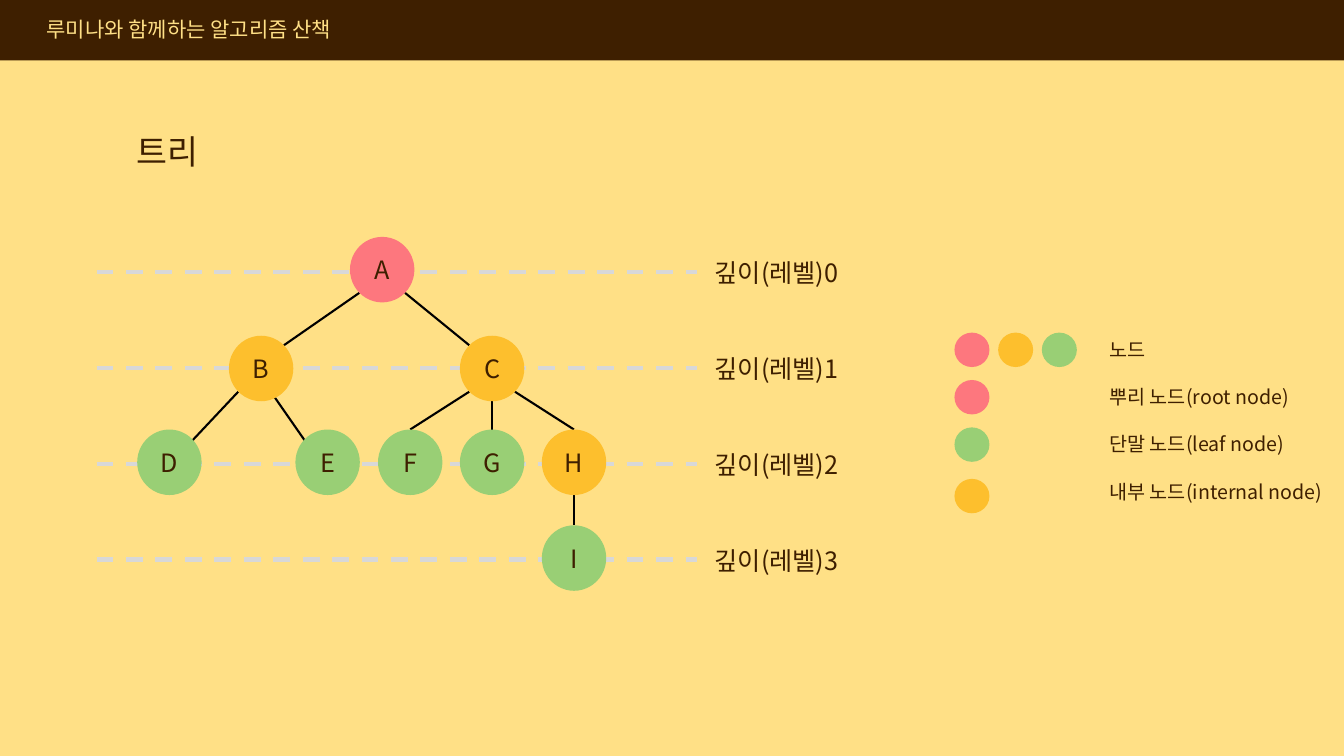
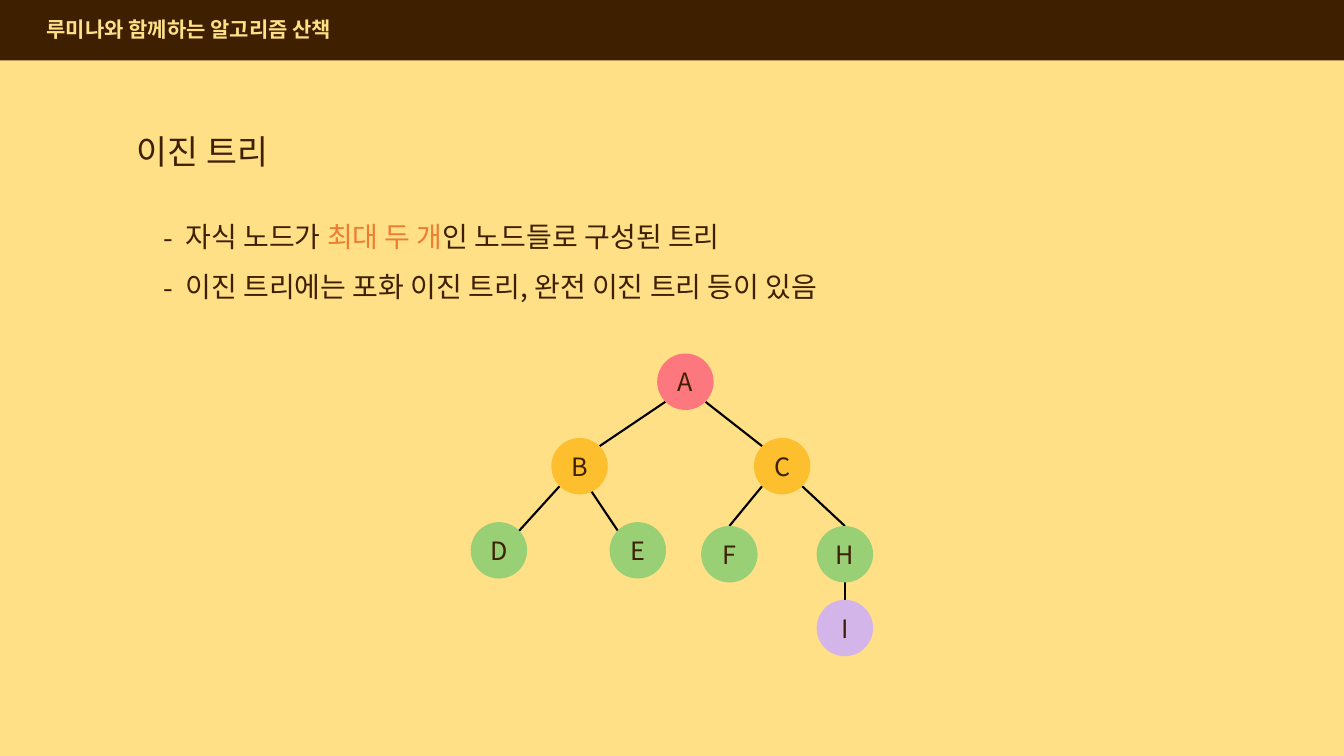
from dataclasses import dataclass

from lxml import etree
from pptx import Presentation
from pptx.dml.color import RGBColor
from pptx.enum.dml import MSO_LINE
from pptx.enum.shapes import MSO_CONNECTOR, MSO_SHAPE
from pptx.enum.text import MSO_ANCHOR, PP_ALIGN
from pptx.oxml.ns import qn
from pptx.util import Pt


@dataclass(frozen=True)
class Theme:
    font: str = "Noto Sans CJK KR"
    cream: str = "FFE086"
    brown: str = "3E1F00"
    root: str = "FD777E"
    inner: str = "FDBF2D"
    leaf: str = "99CF75"
    extra: str = "D3B5E9"
    accent: str = "ED7D31"
    guide: str = "D8D8D8"
    edge: str = "000000"
    header_size: float = 15
    title_size: float = 24
    bullet_size: float = 20
    node_size: float = 18
    legend_size: float = 14


THEME = Theme()
WIDTH, HEIGHT, BAND_HEIGHT = 960, 540, 43.2

# Points of a node, as fractions of its radii from the centre
ANCHORS = {
    "top": (0, -1),
    "bottom": (0, 1),
    "upper left": (-0.71, -0.71),
    "upper right": (0.71, -0.71),
    "lower left": (-0.71, 0.71),
    "lower right": (0.71, 0.71),
    "low": (0.21, 0.58),
    "inside left": (-0.38, -0.2),
    "inside right": (0.27, -0.2),
}

# Edges that both trees have: parent, its anchor, child, its anchor
COMMON_EDGES = [
    ("A", "lower left", "B", "upper right"),
    ("A", "lower right", "C", "upper left"),
    ("B", "lower left", "D", "inside right"),
    ("B", "low", "E", "inside left"),
    ("C", "lower left", "F", "top"),
    ("C", "lower right", "H", "top"),
    ("H", "bottom", "I", "top"),
]

# Nodes: label -> centre x, centre y, colour
DEPTH_NODES = {
    "A": (273, 192.6, THEME.root),
    "B": (186.5, 263.2, THEME.inner),
    "C": (351.5, 263.2, THEME.inner),
    "D": (121, 330.2, THEME.leaf),
    "E": (234, 330.2, THEME.leaf),
    "F": (293, 330.2, THEME.leaf),
    "G": (351.5, 330.2, THEME.leaf),
    "H": (410, 330.2, THEME.inner),
    "I": (410, 398.6, THEME.leaf),
}
BINARY_NODES = {
    "A": (489.6, 272.7, THEME.root),
    "B": (414, 333, THEME.inner),
    "C": (558.7, 333, THEME.inner),
    "D": (356.4, 393.1, THEME.leaf),
    "E": (455.6, 393.1, THEME.leaf),
    "F": (521, 395.9, THEME.leaf),
    "H": (603.5, 395.9, THEME.leaf),
    "I": (603.5, 448.6, THEME.extra),
}

# Legend rows: text, dot colours, extra drop of the dots
LEGEND = [
    ("노드", [THEME.root, THEME.inner, THEME.leaf], 0),
    ("뿌리 노드(root node)", [THEME.root], 0),
    ("단말 노드(leaf node)", [THEME.leaf], 0),
    ("내부 노드(internal node)", [THEME.inner], 2.9),
]


def rgb(code):
    return RGBColor.from_string(code)


def points(*lengths):
    return [Pt(length) for length in lengths]


def write(paragraph, text, size, color=THEME.brown, bold=None):
    run = paragraph.add_run()
    run.text = text
    run.font.color.rgb = rgb(color)
    for name, value in {"size": Pt(size), "bold": bold, "name": THEME.font}.items():
        setattr(run.font, name, value)
    etree.SubElement(run.font._element, qn("a:ea"), typeface=THEME.font)


def add_text_box(slide, box):
    frame = slide.shapes.add_textbox(*points(*box)).text_frame
    frame.word_wrap = True
    return frame


def add_label(slide, box, text, size, color=THEME.brown, bold=None):
    frame = add_text_box(slide, box)
    write(frame.paragraphs[0], text, size, color, bold)


def add_filled(shapes, kind, box, color):
    shape = shapes.add_shape(kind, *points(*box))
    shape.shadow.inherit = False
    shape.fill.solid()
    shape.fill.fore_color.rgb = rgb(color)
    shape.line.fill.background()
    return shape


def add_line(shapes, start, end, color, width, dash=None):
    line = shapes.add_connector(MSO_CONNECTOR.STRAIGHT, *points(*start, *end))
    line.line.color.rgb = rgb(color)
    for name, value in {"width": Pt(width), "dash_style": dash}.items():
        setattr(line.line, name, value)
    etree.SubElement(line._element.spPr, qn("a:effectLst"))
    return line


def add_node(shapes, label, center, size, color):
    box = (center[0] - size[0] / 2, center[1] - size[1] / 2, *size)
    node = add_filled(shapes, MSO_SHAPE.OVAL, box, color)
    node.text_frame.vertical_anchor = MSO_ANCHOR.MIDDLE
    paragraph = node.text_frame.paragraphs[0]
    paragraph.alignment = PP_ALIGN.CENTER
    write(paragraph, label, THEME.node_size)
    return node


def add_tree(slide, nodes, edges, size):
    tree = slide.shapes.add_group_shape()
    circles = {
        label: add_node(tree.shapes, label, (x, y), size, color)
        for label, (x, y, color) in nodes.items()
    }

    def anchor_point(label, anchor):
        return [c + f * s / 2 for c, f, s in zip(nodes[label], ANCHORS[anchor], size)]

    for parent, leave, child, arrive in edges:
        edge = add_line(tree.shapes, anchor_point(parent, leave),
                        anchor_point(child, arrive), THEME.edge, 1.5)
        if arrive == "top":
            edge.end_connect(circles[child], 0)
        # Edges lie behind the nodes
        tree._element.insert(2, edge._element)


def add_depth_guides(slide):
    for depth in range(4):
        y = 194.4 + 68.4 * depth
        add_line(slide.shapes, (69, y), (498, y), THEME.guide, 3, MSO_LINE.DASH)
        add_label(slide, (503.5, y - 13.8, 122, 29), f"깊이(레벨){depth}", THEME.node_size)


def add_legend(slide):
    for row, (text, colors, drop) in enumerate(LEGEND):
        y = 237.6 + 33.85 * row
        for column, color in enumerate(colors):
            add_filled(slide.shapes, MSO_SHAPE.OVAL,
                       (681.8 + 31.2 * column, y + drop, 25, 24.6), color)
        add_label(slide, (785.3, y, 168, 24.6), text, THEME.legend_size)


def add_bullets(slide, box, items):
    frame = add_text_box(slide, box)
    for index, item in enumerate(items):
        paragraph = frame.add_paragraph() if index else frame.paragraphs[0]
        paragraph.line_spacing = 1.5
        properties = paragraph._p.get_or_add_pPr()
        for name, value in {"marL": Pt(16), "indent": -Pt(16)}.items():
            properties.set(name, str(value))
        etree.SubElement(properties, qn("a:buFont"), typeface=THEME.font)
        etree.SubElement(properties, qn("a:buChar"), char="-")
        for text, color in item:
            write(paragraph, text, THEME.bullet_size, color)


def add_slide(deck, title, bold_header=None):
    slide = deck.slides.add_slide(deck.slide_layouts[6])
    slide.background.fill.solid()
    slide.background.fill.fore_color.rgb = rgb(THEME.cream)
    add_filled(slide.shapes, MSO_SHAPE.RECTANGLE, (0, 0, WIDTH, BAND_HEIGHT), THEME.brown)
    add_label(slide, (26.3, 8.6, 360, 25.5), "루미나와 함께하는 알고리즘 산책",
              THEME.header_size, THEME.cream, bold_header)
    add_label(slide, (90.7, 90, 166, 36.4), title, THEME.title_size)
    return slide


def main():
    deck = Presentation()
    deck.slide_width, deck.slide_height = points(WIDTH, HEIGHT)

    # Tree with its depths and kinds of node
    depths = add_slide(deck, "트리")
    add_depth_guides(depths)
    add_tree(depths, DEPTH_NODES, COMMON_EDGES + [("C", "bottom", "G", "top")], (46, 46.8))
    add_legend(depths)

    # Binary tree
    binary = add_slide(deck, "이진 트리", bold_header=True)
    add_bullets(binary, (109.4, 141.1, 721, 80), [
        [("자식 노드가 ", THEME.brown), ("최대 두 개", THEME.accent),
         ("인 노드들로 구성된 트리", THEME.brown)],
        [("이진 트리에는 포화 이진 트리, 완전 이진 트리 등이 있음", THEME.brown)],
    ])
    add_tree(binary, BINARY_NODES, COMMON_EDGES, (40.3, 40.3))

    deck.save("out.pptx")


if __name__ == "__main__":
    main()
